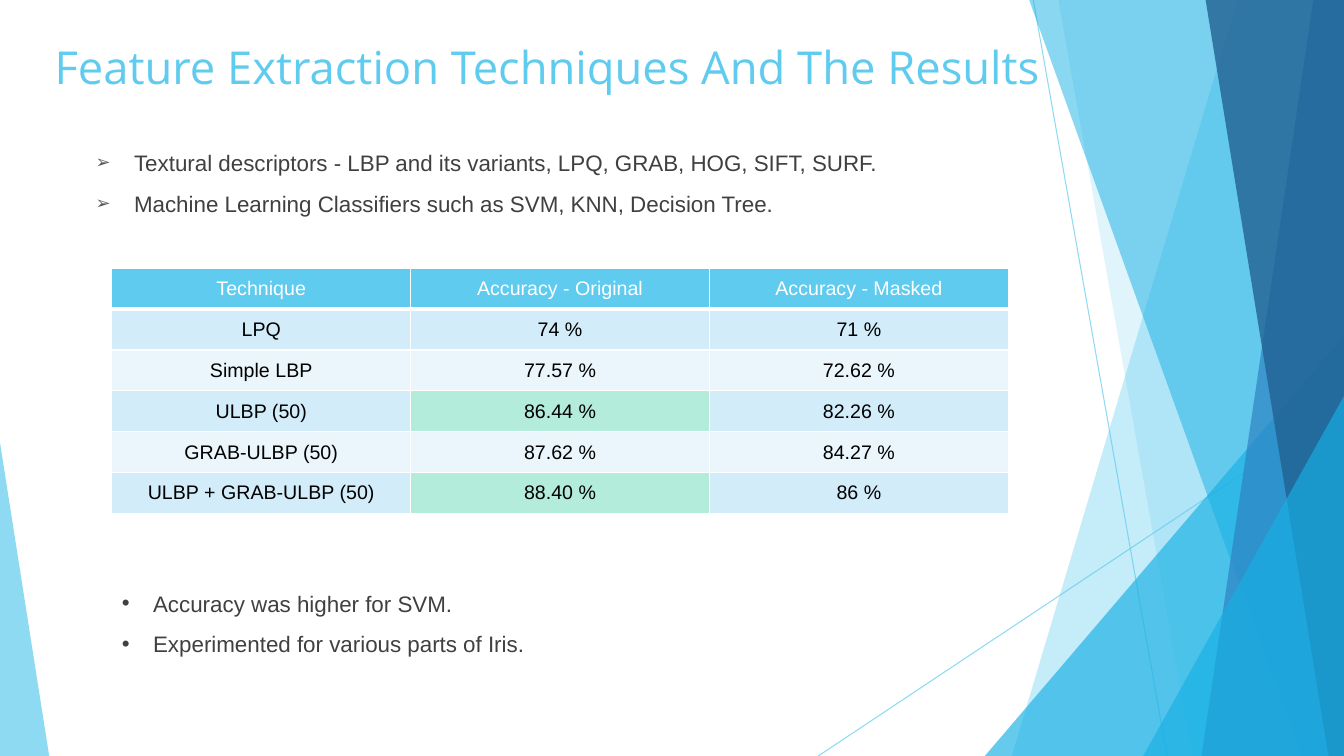
"""Build the slide on feature extraction techniques and their accuracy."""
import pptx
import pptx.util
import pptx.oxml
import pptx.oxml.ns
import pptx.dml.color
import pptx.enum.shapes
import pptx.enum.text

Cm, Pt = pptx.util.Cm, pptx.util.Pt
WIDE, HIGH = 33.87, 19.05

HUES = {
    "sky": "5FCBEF", "cyan": "17B0E4", "blue": "2E83C3", "navy": "226292",
    "text": "404040", "mark": "595959", "black": "000000", "white": "FFFFFF",
    "odd": "D2ECF9", "even": "EAF6FC", "best": "B3ECDA",
}
TITLE = "Feature Extraction Techniques And The Results"
METHODS = [
    "Textural descriptors - LBP and its variants, LPQ, GRAB, HOG, SIFT, SURF.",
    "Machine Learning Classifiers such as SVM, KNN, Decision Tree.",
]
NOTES = ["Accuracy was higher for SVM.", "Experimented for various parts of Iris."]
ROWS = [
    ("Technique", "Accuracy - Original", "Accuracy - Masked"),
    ("LPQ", "74 %", "71 %"),
    ("Simple LBP", "77.57 %", "72.62 %"),
    ("ULBP (50)", "86.44 %", "82.26 %"),
    ("GRAB-ULBP (50)", "87.62 %", "84.27 %"),
    ("ULBP + GRAB-ULBP (50)", "88.40 %", "86 %"),
]
BEST = {(3, 1), (5, 1)}
LINES = [(26.04, 0, 29.41, HIGH), (WIDE, 10.24, 20.62, HIGH)]
# PLACEHOLDER
BANDS = [
    ("edge", (31.19, 25.5), "sky", 36),
    ("edge", (26.67, 30.05), "sky", 20),
    ("peak", (24.82, 9.05, 10.59, 1), "cyan", 66),
    ("edge", (25.93, 32.79), "cyan", 50),
    ("edge", (33.1, 30.28), "blue", 70),
    ("edge", (30.38, 33.48), "navy", 80),
    ("peak", (28.81, 5.06, 9.07, 1), "cyan", 66),
    ("peak", (0, 1.24, 7.9, 0), "sky", 70),
]


def rgb(hue):
    """Return the named colour."""
    return pptx.dml.color.RGBColor.from_string(HUES[hue])


def make(tag, **attrs):
    """Return a new drawing element."""
    node = pptx.oxml.parse_xml(f"<a:{tag} {pptx.oxml.ns.nsdecls('a')}/>")
    for key, value in attrs.items():
        node.set(key, str(value))
    return node


def fade(fill, hue, alpha):
    """Fill with a colour that lets the rest show through."""
    fill.solid()
    fill.fore_color.rgb = rgb(hue)
    color = fill._xPr.find(".//" + pptx.oxml.ns.qn("a:srgbClr"))
    color.append(make("alpha", val=alpha * 1000))


def write(para, text, size, hue, font="Arial"):
    """Add one formatted run."""
    run = para.add_run()
    run.text = text
    run.font.size, run.font.name = Pt(size), font
    run.font.color.rgb = rgb(hue)


def draw_line(slide, ends):
    """Draw one thin pale line."""
    line = slide.shapes.add_connector(
        pptx.enum.shapes.MSO_CONNECTOR.STRAIGHT, *map(Cm, ends))
    line.line.width = Pt(0.75)
    fade(line.line.fill, "sky", 70)
    line.element.spPr.append(make("effectLst"))


def draw_band(slide, kind, spots, hue, alpha):
    """Draw one clear band of the backdrop."""
    if kind == "edge":
        top, foot = spots
        form = slide.shapes.build_freeform(Cm(top), Cm(-0.02))
        form.add_line_segments([(Cm(WIDE), Cm(-0.02)), (Cm(WIDE), Cm(HIGH)),
                                (Cm(foot), Cm(HIGH))], close=True)
        shape = form.convert_to_shape()
    else:
        left, width, height, tip = spots
        shape = slide.shapes.add_shape(
            pptx.enum.shapes.MSO_SHAPE.ISOSCELES_TRIANGLE,
            Cm(left), Cm(HIGH - height), Cm(width), Cm(height))
        shape.adjustments[0] = tip
    shape.shadow.inherit = False
    shape.line.fill.background()
    fade(shape.fill, hue, alpha)


def add_list(slide, box, lines, sign, indent, before=0, space=1.0, small=False):
    """Add a text box of bullet lines."""
    frame = slide.shapes.add_textbox(*map(Cm, box)).text_frame
    frame.word_wrap = True
    for i, text in enumerate(lines):
        para = frame.paragraphs[0] if i == 0 else frame.add_paragraph()
        para.space_before, para.line_spacing = Pt(before), space
        props = para._p.get_or_add_pPr()
        props.set("marL", str(Cm(indent)))
        props.set("indent", str(-Cm(indent)))
        if small:
            tint = make("buClr")
            tint.append(make("srgbClr", val=HUES["mark"]))
            props.append(tint)
            props.append(make("buSzPct", val=80000))
        props.append(make("buFont", typeface="Arial"))
        props.append(make("buChar", char=sign))
        write(para, text, 16, "text")


def edge(cell, row):
    """Give a cell white borders, thicker under the header."""
    sides = {"lnL": 1, "lnR": 1, "lnT": 3 if row == 1 else 1, "lnB": 3 if row == 0 else 1}
    props = cell._tc.get_or_add_tcPr()
    for i, (side, width) in enumerate(sides.items()):
        line, fill = make(side, w=Pt(width)), make("solidFill")
        fill.append(make("srgbClr", val=HUES["white"]))
        line.append(fill)
        props.insert(i, line)


def add_grid(slide):
    """Add the table of results."""
    wide, high = 7.53, 1.03
    grid = slide.shapes.add_table(
        len(ROWS), len(ROWS[0]), Cm(2.82), Cm(6.76),
        Cm(wide * len(ROWS[0])), Cm(high * len(ROWS))).table
    for col in grid.columns:
        col.width = Cm(wide)
    for r, row in enumerate(ROWS):
        grid.rows[r].height = Cm(high)
        for c, text in enumerate(row):
            cell = grid.cell(r, c)
            hue = "sky" if r == 0 else "odd" if r % 2 else "even"
            cell.fill.solid()
            cell.fill.fore_color.rgb = rgb("best" if (r, c) in BEST else hue)
            edge(cell, r)
            cell.vertical_anchor = pptx.enum.text.MSO_ANCHOR.MIDDLE
            para = cell.text_frame.paragraphs[0]
            para.alignment = pptx.enum.text.PP_ALIGN.CENTER
            write(para, text, 14, "black" if r else "white")
            para.runs[0].font.bold = False


def add_title(slide):
    """Place the title above the backdrop."""
    title = slide.shapes.title
    title.left, title.top, title.width, title.height = map(Cm, (1.12, 0.87, 25.96, 1.9))
    frame = title.text_frame
    frame.auto_size = pptx.enum.text.MSO_AUTO_SIZE.NONE
    frame.vertical_anchor = pptx.enum.text.MSO_ANCHOR.TOP
    para = frame.paragraphs[0]
    para.alignment = pptx.enum.text.PP_ALIGN.LEFT
    write(para, TITLE, 32.4, "sky", "Open Sans")
    title.element.getparent().append(title.element)


def main():
    """Build and save the deck."""
    deck = pptx.Presentation()
    deck.slide_width, deck.slide_height = Cm(WIDE), Cm(HIGH)
    slide = deck.slides.add_slide(deck.slide_layouts[5])
    for ends in LINES:
        draw_line(slide, ends)
    for band in BANDS:
        draw_band(slide, *band)
    add_title(slide)
    add_list(slide, (2.16, 3.63, 23.88, 2.34), METHODS, "➢", 0.97, before=10, small=True)
    add_grid(slide)
    add_list(slide, (2.82, 14.4, 20.9, 3.07), NOTES, "•", 0.79, space=1.5)
    deck.save("out.pptx")


if __name__ == "__main__":
    main()
